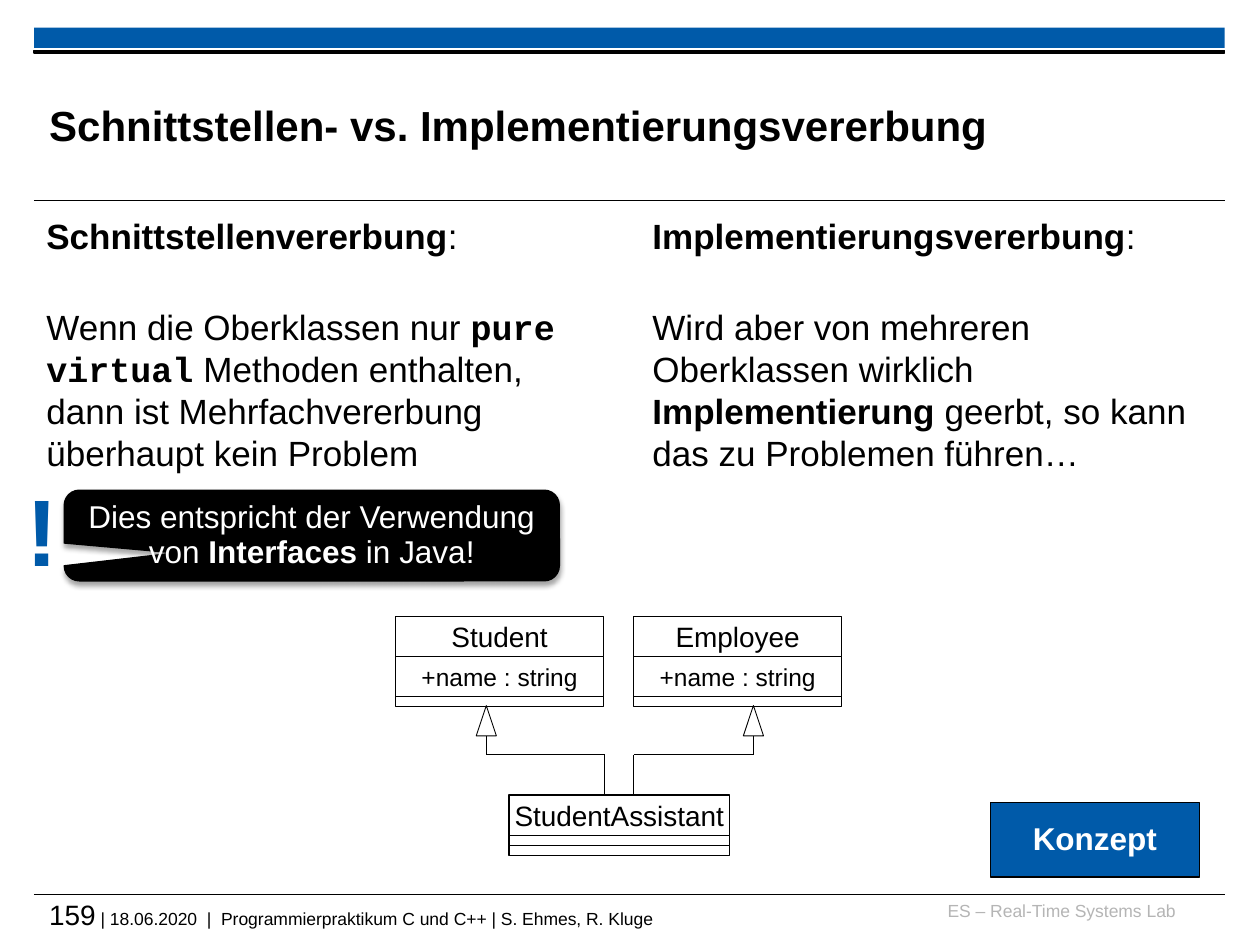
from lxml import etree
from pptx import Presentation
from pptx.dml.color import RGBColor
from pptx.enum.shapes import MSO_CONNECTOR, MSO_SHAPE
from pptx.enum.text import MSO_ANCHOR, PP_ALIGN
from pptx.oxml import parse_xml
from pptx.oxml.ns import nsdecls, qn
from pptx.util import Inches, Pt

RECT, TRI = MSO_SHAPE.RECTANGLE, MSO_SHAPE.ISOSCELES_TRIANGLE
CALL = MSO_SHAPE.ROUNDED_RECTANGULAR_CALLOUT
LINE = MSO_CONNECTOR.STRAIGHT
LEFT, MID, RIGHT = PP_ALIGN.LEFT, PP_ALIGN.CENTER, PP_ALIGN.RIGHT
TOP, CENTER = MSO_ANCHOR.TOP, MSO_ANCHOR.MIDDLE
HUE = {"black": "000000", "white": "FFFFFF", "blue": "005AA9", "gray": "B5B5B5"}
SHADE = (
    f'<a:effectLst {nsdecls("a")}><a:outerShdw blurRad="{Pt(3.1)}" dist="{Pt(1.8)}" '
    'dir="5400000" rotWithShape="0"><a:srgbClr val="000000"><a:alpha val="35000"/>'
    "</a:srgbClr></a:outerShdw></a:effectLst>"
)


def rgb(name):
    """Return the named colour."""
    return RGBColor.from_string(HUE[name])


def write(para, runs, size, hue="black", align=LEFT, space=None):
    """Fill a paragraph with (text, bold, font) runs."""
    para.alignment = align
    if space:
        para.line_spacing = space
    for text, bold, face in runs:
        run = para.add_run()
        run.text = text
        run.font.name, run.font.size, run.font.bold = face, Pt(size), bold
        run.font.color.rgb = rgb(hue)


def plain(text, bold=False):
    """Return one Arial run."""
    return text, bold, "Arial"


def label(slide, box, pad=0, anchor=TOP, wrap=True):
    """Add a text box and return its frame."""
    frame = slide.shapes.add_textbox(*map(Inches, box)).text_frame
    frame.word_wrap, frame.vertical_anchor = wrap, anchor
    frame.margin_left = frame.margin_right = Inches(pad)
    frame.margin_top = frame.margin_bottom = Inches(pad)
    return frame


def block(slide, kind, box, fill="white", edge=0.75):
    """Add a filled shape with an optional black outline."""
    shape = slide.shapes.add_shape(kind, *map(Inches, box))
    shape.shadow.inherit = False
    shape.fill.solid()
    shape.fill.fore_color.rgb = rgb(fill)
    if edge:
        shape.line.color.rgb, shape.line.width = rgb("black"), Pt(edge)
    else:
        shape.line.fill.background()
    shape.text_frame.vertical_anchor = CENTER
    return shape


def rule(slide, start, end, width=0.75):
    """Draw a straight black line."""
    line = slide.shapes.add_connector(LINE, *map(Inches, start + end))
    line.line.color.rgb, line.line.width = rgb("black"), Pt(width)
    etree.SubElement(line._element.spPr, qn("a:effectLst"))


def frame(slide, box):
    """Draw the bars, rules, title and footer."""
    x, y, w, h = box
    block(slide, RECT, (x, y, w, 0.16), "blue", 0)
    block(slide, RECT, (x, y + 0.18, w, 0.02), "black")
    for level in (y + 1.37, y + h):
        rule(slide, (x, level), (x + w, level), 0.6)
    title = label(slide, (x + 0.12, y + 0.31, 7.52, 0.92), anchor=CENTER)
    write(title.paragraphs[0],
          [plain("Schnittstellen- vs. Implementierungsvererbung", True)], 24)
    lab = label(slide, (x + 7.09, y + h + 0.04, 1.97, 0.25))
    write(lab.paragraphs[0], [plain("ES – Real-Time Systems Lab")], 10, "gray", RIGHT)
    foot = label(slide, (x + 0.12, y + h + 0.02, w - 0.12, 0.33)).paragraphs[0]
    write(foot, [plain("159")], 16)
    write(foot, [plain(" | 18.06.2020  |  Programmierpraktikum C und C++ | S. Ehmes, R. Kluge")], 10)


def column(slide, box, head, runs):
    """Place a bold heading above its paragraph."""
    body = label(slide, box, 0.1)
    write(body.paragraphs[0], [plain(head, True), plain(":")], 20)
    para = body.add_paragraph()
    para.space_before = Pt(28)
    write(para, runs, 20)


def entity(slide, box, name, field=None):
    """Stack the three compartments of a class."""
    x, y, w = box
    rows = [(name, 16, 0.32), (field, 14, 0.32 if field else 0.08), (None, 0, 0.08)]
    for text, size, high in rows:
        part = block(slide, RECT, (x, y, w, high))
        if text:
            part.text_frame.word_wrap = False
            write(part.text_frame.paragraphs[0], [plain(text)], size, align=MID)
        y += high


def diagram(slide, box):
    """Draw two base classes and the class derived from both."""
    x, y = box
    wide, joint, low = 1.65, y + 1.1, y + 1.42
    entity(slide, (x + 0.9, low, 1.75), "StudentAssistant")
    parts = (("Student", 0, 0.72, 1.66), ("Employee", 1.89, 2.84, 1.89))
    for name, left, tip, stem in parts:
        entity(slide, (x + left, y, wide), name, "+name : string")
        block(slide, TRI, (x + tip - 0.08, y + 0.71, 0.16, 0.24), edge=0.5)
        rule(slide, (x + tip, y + 0.95), (x + tip, joint), 0.5)
        rule(slide, (x + tip, joint), (x + stem, joint))
        rule(slide, (x + stem, joint), (x + stem, low))


def remark(slide, box):
    """Place the callout with its exclamation mark."""
    x, y, w, h = box
    note = block(slide, CALL, box, "black")
    for i, value in enumerate((-0.276, 0.192, 0.167)):
        note.adjustments[i] = value
    props = note._element.spPr
    props.replace(props.find(qn("a:effectLst")), parse_xml(SHADE))
    note.text_frame.word_wrap = True
    write(note.text_frame.paragraphs[0],
          [plain("Dies entspricht der Verwendung von "), plain("Interfaces", True),
           plain(" in Java!")], 18, "white", MID, 0.93)
    mark = label(slide, (x - 0.4, y - 0.11, 0.45, 0.95), 0.05, wrap=False)
    write(mark.paragraphs[0], [plain("!", True)], 54, "blue", MID, 0.93)


def badge(slide, box):
    """Place the topic badge."""
    tag = block(slide, RECT, box, "blue")
    write(tag.text_frame.paragraphs[0], [plain("Konzept", True)], 18, "white", MID, 0.93)


def main():
    """Build and save the slide."""
    deck = Presentation()
    deck.slide_width, deck.slide_height = Inches(10), Inches(7.5)
    slide = deck.slides.add_slide(deck.slide_layouts[6])
    frame(slide, (0.27, 0.22, 9.45, 6.88))
    column(slide, (0.27, 1.6, 4.64, 5.43), "Schnittstellenvererbung", [
        plain("Wenn die Oberklassen nur "),
        ("pure virtual", True, "Courier New"),
        plain(" Methoden enthalten, dann ist Mehrfachvererbung überhaupt kein Problem")])
    column(slide, (5.08, 1.6, 4.64, 5.43), "Implementierungsvererbung", [
        plain("Wird aber von mehreren Oberklassen wirklich "),
        plain("Implementierung", True),
        plain(" geerbt, so kann das zu Problemen führen…")])
    diagram(slide, (3.14, 4.89))
    remark(slide, (0.51, 3.89, 3.93, 0.72))
    badge(slide, (7.86, 6.37, 1.66, 0.59))
    deck.save("out.pptx")


if __name__ == "__main__":
    main()
